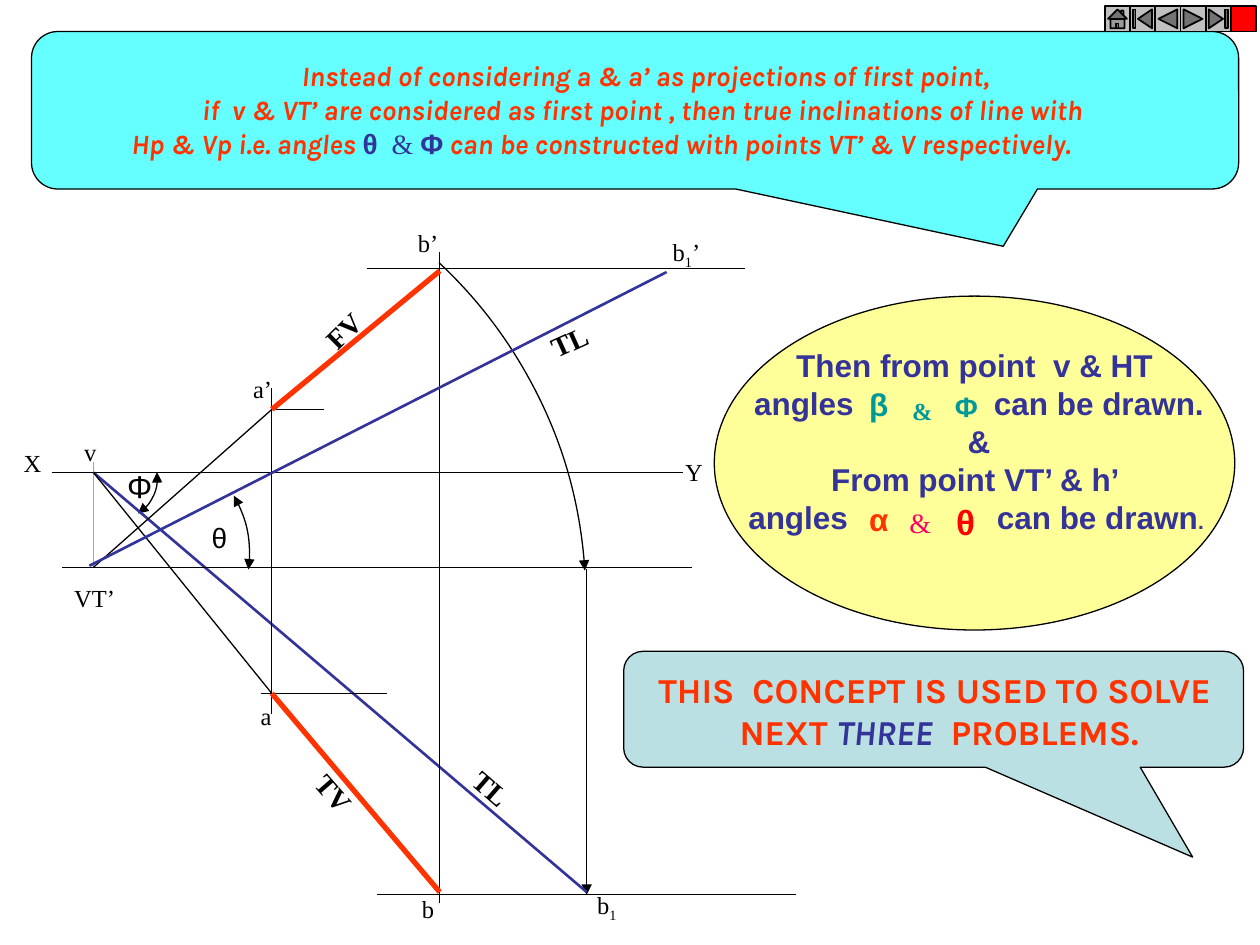
from dataclasses import dataclass

from lxml import etree
from pptx import Presentation
from pptx import util as u
from pptx.dml import color as colors
from pptx.enum import shapes, text
from pptx.oxml import ns

BLACK, RED, NAVY, TEAL = "000000", "FF3300", "333399", "009999"
SERIF, SANS, DISPLAY = "Times New Roman", "Arial", "Karla"


@dataclass
class Run:
    text: str
    size: float = 14
    font: str = SERIF
    color: str = BLACK
    bold: bool = False
    italic: bool = False
    baseline: int = 0
    spacing: float = 0


@dataclass
class TextBox:
    left: float
    top: float
    width: float
    height: float
    paragraphs: list[list[Run]]
    rotation: float = 0
    centered: bool = False
    wrap: bool = False
    space_before: float = 0


@dataclass
class Line:
    start: tuple[float, float]
    end: tuple[float, float]
    color: str = BLACK
    width: float = 0.75
    arrow: bool = False


@dataclass
class Arc:
    left: float
    top: float
    diameter: float
    start_degrees: float
    end_degrees: float
    both_arrows: bool = False


@dataclass
class Panel:
    kind: shapes.MSO_SHAPE
    left: float
    top: float
    width: float
    height: float
    fill: str
    adjustments: tuple[float, ...] = ()
    line_width: float = 0.75


def rgb(value: str) -> colors.RGBColor:
    return colors.RGBColor.from_string(value)


def add_arrowheads(shape, *ends: str) -> None:
    line = shape.line._get_or_add_ln()
    for end in ends:
        etree.SubElement(line, ns.qn(f"a:{end}"), type="triangle")


def draw_line(slide, line: Line) -> None:
    points = [u.Pt(value) for value in (*line.start, *line.end)]
    connector = slide.shapes.add_connector(shapes.MSO_CONNECTOR.STRAIGHT, *points)
    connector.line.color.rgb = rgb(line.color)
    connector.line.width = u.Pt(line.width)
    if line.arrow:
        add_arrowheads(connector, "tailEnd")
    etree.SubElement(connector._element.spPr, ns.qn("a:effectLst"))


def draw_panel(slide, panel: Panel) -> None:
    box = [u.Pt(v) for v in (panel.left, panel.top, panel.width, panel.height)]
    shape = slide.shapes.add_shape(panel.kind, *box)
    shape.shadow.inherit = False
    shape.fill.solid()
    shape.fill.fore_color.rgb = rgb(panel.fill)
    shape.line.color.rgb = rgb(BLACK)
    shape.line.width = u.Pt(panel.line_width)
    for index, value in enumerate(panel.adjustments):
        shape.adjustments[index] = value


def draw_arc(slide, arc: Arc) -> None:
    box = [u.Pt(v) for v in (arc.left, arc.top, arc.diameter, arc.diameter)]
    shape = slide.shapes.add_shape(shapes.MSO_SHAPE.ARC, *box)
    shape.shadow.inherit = False
    shape.fill.background()
    shape.line.color.rgb = rgb(BLACK)
    shape.line.width = u.Pt(0.75)
    # Angles are stored in 1/60000 degree, adjustments in 1/100000
    shape.adjustments[0] = arc.start_degrees * 0.6
    shape.adjustments[1] = arc.end_degrees * 0.6
    add_arrowheads(shape, *(["headEnd"] if arc.both_arrows else []), "tailEnd")


def format_run(run, style: Run) -> None:
    font = run.font
    font.size, font.name = u.Pt(style.size), style.font
    font.bold, font.italic = style.bold, style.italic
    font.color.rgb = rgb(style.color)
    properties = run._r.get_or_add_rPr()
    if style.baseline:
        properties.set("baseline", str(style.baseline * 1000))
    if style.spacing:
        properties.set("spc", str(round(style.spacing * 100)))


def draw_text(slide, box: TextBox):
    shape = slide.shapes.add_textbox(*[u.Pt(v) for v in (box.left, box.top, box.width, box.height)])
    shape.rotation = box.rotation
    frame = shape.text_frame
    frame.word_wrap = box.wrap
    frame.auto_size = text.MSO_AUTO_SIZE.SHAPE_TO_FIT_TEXT
    frame.text = "\n".join(styles[0].text for styles in box.paragraphs)
    for paragraph, styles in zip(frame.paragraphs, box.paragraphs):
        paragraph.alignment = text.PP_ALIGN.CENTER if box.centered else text.PP_ALIGN.LEFT
        if box.space_before:
            paragraph.space_before = u.Pt(box.space_before)
        for style in styles[1:]:
            paragraph.add_run().text = style.text
        for run, style in zip(paragraph.runs, styles):
            format_run(run, style)
    return shape


# Key coordinates of the projection drawing
V_X, A_X, B_X, B1_X = 53.4, 155.3, 251.3, 335.3
B_TOP, A_TOP, XY, VT, A_LOW, B_LOW = 153.4, 234, 270, 324.2, 396.2, 511.3

LINES = [
    Line((B1_X, 325.4), (B1_X, B_LOW), arrow=True),
    Line((V_X, XY), (B1_X, 509.8), NAVY, 1.5),
    # Horizontal lines
    Line((215.3, B_LOW), (455, B_LOW)),
    Line((35.3, VT), (395.3, VT)),
    Line((A_X, A_TOP), (185, A_TOP)),
    Line((149, A_LOW), (221, A_LOW)),
    Line((29.5, XY), (390.2, XY)),
    Line((209.5, B_TOP), (425.5, B_TOP)),
    # Projectors
    Line((A_X, 221.8), (A_X, 408.2)),
    Line((B_X, 516.2), (B_X, 144)),
    Line((V_X, 264.2), (V_X, VT), "99CC00"),
    # Views, their extensions and the true length
    Line((A_X, A_LOW), (B_X, 509.8), RED, 3),
    Line((B_X, 154.8), (A_X, A_TOP), RED, 3),
    Line((A_X, A_TOP), (V_X, VT)),
    Line((V_X, XY), (A_X, A_LOW)),
    Line((51.1, 323.3), (380.9, 155.5), NAVY, 1.5),
]

ARCS = [
    Arc(-193, 79.2, 527.8, 313, 356.3),
    Arc(10.8, 250.6, 131.8, 329.7, 7.8, True),
    Arc(41.8, 249.1, 48.2, 352, 57.5, True),
]

SUBSCRIPT = Run("1", baseline=-25)
LABELS = [
    *(TextBox(left, top, width, 24.5, [[Run(name)]]) for name, left, top, width in [
        ("a’", 137.5, 210.2, 25.2), ("VT’", 35.3, 329.8, 39), ("v", 41, 246.2, 21.6),
        ("X", 6.5, 252.7, 24.5), ("Y", 384.5, 257.8, 24.5), ("b’", 231.8, 126.7, 25.9),
        ("a", 141.8, 396.9, 20.2), ("b", 234, 507.2, 21.6)]),
    TextBox(334.1, 505, 28, 26.6, [[Run("b"), SUBSCRIPT]]),
    TextBox(377.3, 131.8, 31, 26.6, [[Run("b"), SUBSCRIPT, Run("’")]]),
    TextBox(113.8, 293.8, 22.3, 26.6, [[Run("θ", 16, SANS)]]),
    TextBox(65.5, 263.5, 28.1, 28.8, [[Run("Φ", 18, SANS)]]),
    *(TextBox(left, top, width, 26.6, [[Run(name, 16, bold=True)]], angle, wrap=wrap, space_before=space)
      for name, left, top, width, angle, wrap, space in [
          ("FV", 175, 167, 59.8, 315.5, True, 10), ("TV", 168.5, 448.6, 59.8, 49, True, 10),
          ("TL", 307.5, 181.4, 37, 335.6, False, 0), ("TL", 262.7, 437.8, 37, 41, False, 0)]),
]

# Symbols that sit in the gaps of the ellipse text
ANGLE_SYMBOLS = [
    TextBox(539.3, 282.2, 24.5, 31.7, [[Run("θ", 20, SANS, "FF0000", True)]]),
    TextBox(489.6, 282.2, 25.9, 28.8, [[Run("α", 18, SANS, RED, True)]]),
    TextBox(512.6, 285.1, 26.6, 26.6, [[Run("&", 16, SERIF, "FF0066")]]),
    TextBox(538.6, 218.9, 26.6, 26.6, [[Run("Φ", 16, SANS, TEAL, True)]]),
    TextBox(489.6, 216.7, 24.5, 28.8, [[Run("β", 18, SANS, TEAL, True)]]),
    TextBox(514.1, 222.5, 25.9, 24.5, [[Run("&", 14, SERIF, TEAL, True)]]),
]


def angles_line(gap: float, ending: str) -> list[Run]:
    style = (18, SANS, NAVY, True)
    return [Run("angles", *style), Run(" ", *style, spacing=gap), Run("can be drawn" + ending, *style)]


def main() -> None:
    presentation = Presentation()
    presentation.slide_width, presentation.slide_height = u.Pt(720), u.Pt(540)
    slide = presentation.slides.add_slide(presentation.slide_layouts[6])
    kinds = shapes.MSO_SHAPE

    # Projection drawing
    draw_panel(slide, Panel(kinds.ROUNDED_RECTANGULAR_CALLOUT, 356.4, 372.2, 354.2, 66.2,
                            "BBE0E3", (0.418, 1.277, 0.167)))
    for items, draw in ((ARCS, draw_arc), (LINES, draw_line), (LABELS, draw_text)):
        for item in items:
            draw(slide, item)

    # Ellipse with the angles
    draw_panel(slide, Panel(kinds.OVAL, 408.2, 169.2, 297.4, 190.8, "FFFF99"))
    navy_bold = (18, SANS, NAVY, True)
    draw_text(slide, TextBox(420.5, 194.4, 277.9, 115.2, [
        [Run("Then from point  v & HT ", *navy_bold)],
        angles_line(75, "."),
        [Run("&", *navy_bold)],
        [Run("From point VT’ & h’ ", *navy_bold)],
        [*angles_line(80, ""), Run(". ", 12, SANS, NAVY, True)],
    ], centered=True))
    for symbol in ANGLE_SYMBOLS:
        draw_text(slide, symbol)

    # Upper callout
    draw_panel(slide, Panel(kinds.ROUNDED_RECTANGULAR_CALLOUT, 18, 18, 689.8, 90,
                            "66FFFF", (0.305, 0.864, 0.167)))
    red_italic = (16, DISPLAY, RED, True, True)
    callout_text = draw_text(slide, TextBox(41.8, 30.2, 654.5, 64.8, [
        [Run("Instead of considering a & a’ as projections of first point,", *red_italic)],
        [Run("if  v & VT’ are considered as first point , then true inclinations of line with ", *red_italic)],
        [Run("Hp & Vp i.e. angles ", *red_italic), Run("θ", 16, SANS, NAVY, True),
         Run("  & ", 16, SERIF, NAVY), Run("Φ", 16, SANS, NAVY, True),
         Run(" can be constructed with points VT’ & V respectively.", *red_italic)],
    ], centered=True, wrap=True))
    callout_text.text_frame.paragraphs[2]._p.get_or_add_pPr().set("marR", str(u.Pt(51)))

    # Lower callout text
    red_bold = (20, DISPLAY, RED, True)
    draw_text(slide, TextBox(361.4, 378.7, 345.6, 55.4, [
        [Run("THIS  CONCEPT IS USED TO SOLVE", *red_bold)],
        [Run(" NEXT ", *red_bold), Run("THREE", 20, DISPLAY, NAVY, True, True),
         Run("  PROBLEMS.", *red_bold)],
    ], centered=True))

    # Navigation buttons
    buttons = [kinds.ACTION_BUTTON_HOME, kinds.ACTION_BUTTON_BEGINNING,
               kinds.ACTION_BUTTON_BACK_OR_PREVIOUS, kinds.ACTION_BUTTON_FORWARD_OR_NEXT,
               kinds.ACTION_BUTTON_END, kinds.ACTION_BUTTON_CUSTOM]
    for index, kind in enumerate(buttons):
        fill = "FF0000" if kind == kinds.ACTION_BUTTON_CUSTOM else "C0C0C0"
        draw_panel(slide, Panel(kind, 631.4 + index * 14.4, 3.6, 14.4, 14.4, fill, line_width=1))

    presentation.save("out.pptx")


if __name__ == "__main__":
    main()
